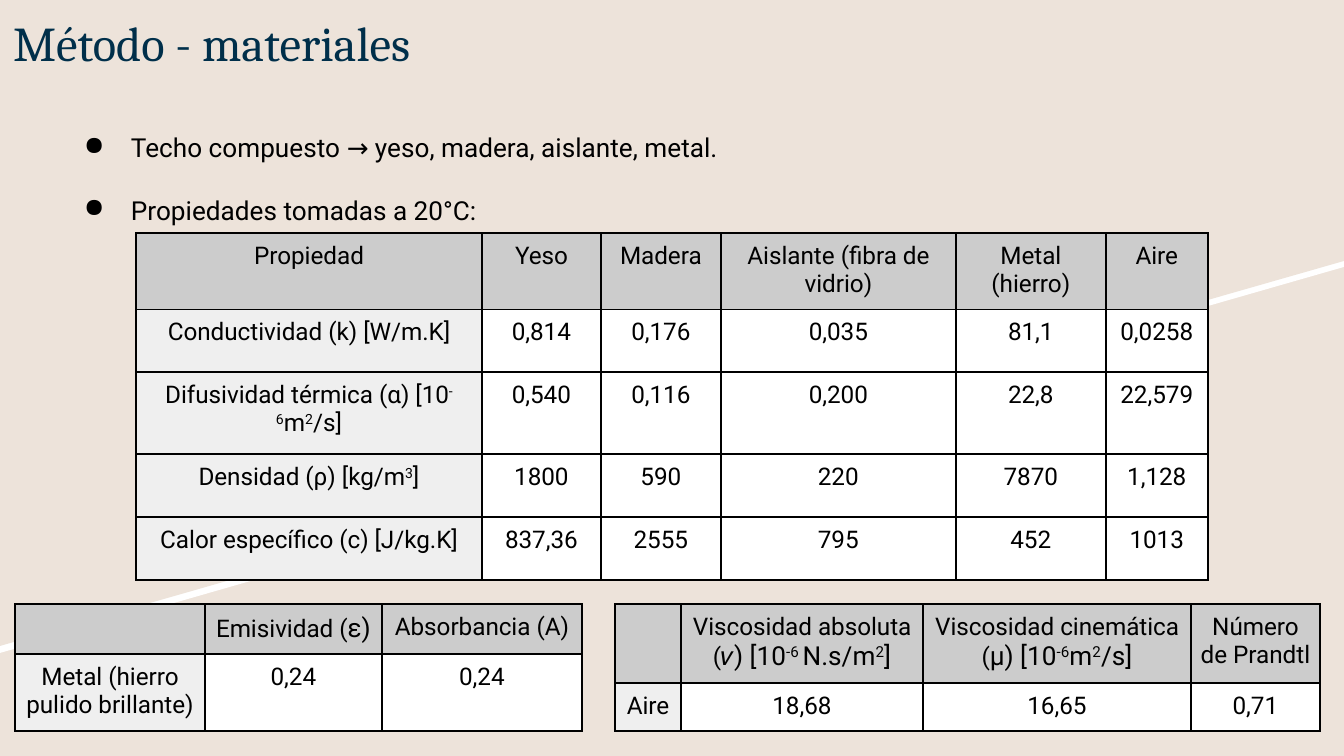
"""Build the slide on materials: title, bullets and three property tables."""
from lxml.etree import SubElement
from pptx import Presentation
from pptx.dml.color import RGBColor
from pptx.enum.text import MSO_ANCHOR, MSO_AUTO_SIZE, PP_ALIGN
from pptx.oxml.ns import qn
from pptx.util import Pt

PX = 914400 / 134.4
BACKGROUND, WHITE, BLACK, NAVY = "EDE3DA", "FFFFFF", "000000", "002F4A"
HEADER_FILL, LABEL_FILL = "CCCCCC", "EFEFEF"
BODY_FONT = "Roboto"
CELL_MARGIN, BOX_MARGIN = 9, 13

TITLE = "Método - materiales"
TITLE_BOX = (0, 0, 1253, 98)
BULLETS = [
    "Techo compuesto → yeso, madera, aislante, metal.",
    "Propiedades tomadas a 20°C:",
]
BULLET_BOX = (51, 87, 1253, 122)
BANDS = [
    (WHITE, [(0, 7), (1344, 7), (1344, 267), (0, 653)]),
    (BACKGROUND, [(0, 0), (1344, 0), (1344, 261), (0, 646)]),
]
TABLES = [
    {
        "at": (136, 233),
        "columns": [346, 119, 120, 235, 150, 102],
        "rows": [76, 63, 82, 63, 63],
        "cells": [
            ["Propiedad", "Yeso", "Madera", "Aislante (fibra de vidrio)", "Metal (hierro)", "Aire"],
            ["Conductividad (k) [W/m.K]", "0,814", "0,176", "0,035", "81,1", "0,0258"],
            ["Difusividad térmica (α) [10^-6^m^2^/s]", "0,540", "0,116", "0,200", "22,8", "22,579"],
            ["Densidad (ρ) [kg/m^3^]", "1800", "590", "220", "7870", "1,128"],
            ["Calor específico (c) [J/kg.K]", "837,36", "2555", "795", "452", "1013"],
        ],
    },
    {
        "at": (15, 604),
        "columns": [190, 177, 200],
        "rows": [50, 77],
        "cells": [
            ["", "Emisividad (|ε)", "Absorbancia (A)"],
            ["Metal (hierro pulido brillante)", "0,24", "0,24"],
        ],
    },
    {
        "at": (615, 604),
        "columns": [66, 242, 268, 129],
        "rows": [79, 48],
        "cells": [
            ["", "Viscosidad absoluta (|𝜈) [10^-6 ^N.s/m^2^]",
             "Viscosidad cinemática (|μ) [10^-6^m^2^/s]", "Número de Prandtl"],
            ["Aire", "18,68", "16,65", "0,71"],
        ],
    },
]


def px(length):
    return round(length * PX)


def color(value):
    return RGBColor.from_string(value)


def paint(target, value):
    target.fill.solid()
    target.fill.fore_color.rgb = color(value)


def set_values(target, values):
    for name, value in values.items():
        setattr(target, name, value)


def margins(length):
    return {f"margin_{side}": px(length) for side in ("left", "top", "right", "bottom")}


def add_run(paragraph, text, size, font=BODY_FONT, ink=BLACK):
    run = paragraph.add_run()
    run.text = text
    set_values(run.font, {"name": font, "size": Pt(size)})
    run.font.color.rgb = color(ink)
    return run


def add_band(slide, fill, points):
    builder = slide.shapes.build_freeform(*points[0], scale=PX)
    builder.add_line_segments(points[1:], close=True)
    shape = builder.convert_to_shape()
    shape.shadow.inherit = False
    paint(shape, fill)
    shape.line.fill.background()


def place_title(slide):
    title = slide.shapes.title
    set_values(title, dict(zip(("left", "top", "width", "height"), map(px, TITLE_BOX))))
    set_values(title.text_frame, {"vertical_anchor": MSO_ANCHOR.TOP, "word_wrap": True,
                                  "auto_size": MSO_AUTO_SIZE.NONE, **margins(BOX_MARGIN)})
    paragraph = title.text_frame.paragraphs[0]
    paragraph.alignment = PP_ALIGN.LEFT
    add_run(paragraph, TITLE, 26, "Cambria", NAVY)
    slide.shapes._spTree.append(title._element)


def add_bullets(slide):
    frame = slide.shapes.add_textbox(*map(px, BULLET_BOX)).text_frame
    set_values(frame, {"word_wrap": True, **margins(BOX_MARGIN)})
    for index, text in enumerate(BULLETS):
        paragraph = frame.add_paragraph() if index else frame.paragraphs[0]
        paragraph.line_spacing = 2.0
        properties = paragraph._p.get_or_add_pPr()
        properties.set("marL", str(px(67)))
        properties.set("indent", str(px(-47)))
        SubElement(SubElement(properties, qn("a:buClr")), qn("a:srgbClr"), val=BLACK)
        SubElement(properties, qn("a:buChar"), char="●")
        add_run(paragraph, text, 14)


def add_borders(cell):
    properties = cell._tc.get_or_add_tcPr()
    for side in ("lnL", "lnR", "lnT", "lnB"):
        line = SubElement(properties, qn(f"a:{side}"), w=str(Pt(1)))
        SubElement(SubElement(line, qn("a:solidFill")), qn("a:srgbClr"), val=BLACK)


def fill_cell(cell, text, fill):
    """Write text, where ^ toggles superscript and | starts the larger size."""
    set_values(cell, margins(CELL_MARGIN))
    add_borders(cell)
    paint(cell, fill)
    paragraph = cell.text_frame.paragraphs[0]
    paragraph.alignment = PP_ALIGN.CENTER
    for size, part in zip((13, 14), text.split("|")):
        for index, piece in enumerate(part.split("^")):
            if piece:
                run = add_run(paragraph, piece, size)
                if index % 2:
                    run.font._element.set("baseline", "30000")
    if not text:
        SubElement(paragraph._p, qn("a:endParaRPr"), sz="1300")


def add_property_table(slide, at, columns, rows, cells):
    bounds = (*at, sum(columns), sum(rows))
    table = slide.shapes.add_table(len(rows), len(columns), *map(px, bounds)).table
    for column, width in zip(table.columns, columns):
        column.width = px(width)
    for row, height in zip(table.rows, rows):
        row.height = px(height)
    for row, texts in enumerate(cells):
        for column, text in enumerate(texts):
            fill = HEADER_FILL if row == 0 else LABEL_FILL if column == 0 else WHITE
            fill_cell(table.cell(row, column), text, fill)


def main():
    presentation = Presentation()
    set_values(presentation, {"slide_width": px(1344), "slide_height": px(756)})
    slide = presentation.slides.add_slide(presentation.slide_layouts[5])
    paint(slide.background, BACKGROUND)
    for band in BANDS:
        add_band(slide, *band)
    place_title(slide)
    add_bullets(slide)
    for table in TABLES:
        add_property_table(slide, **table)
    presentation.save("out.pptx")


if __name__ == "__main__":
    main()
